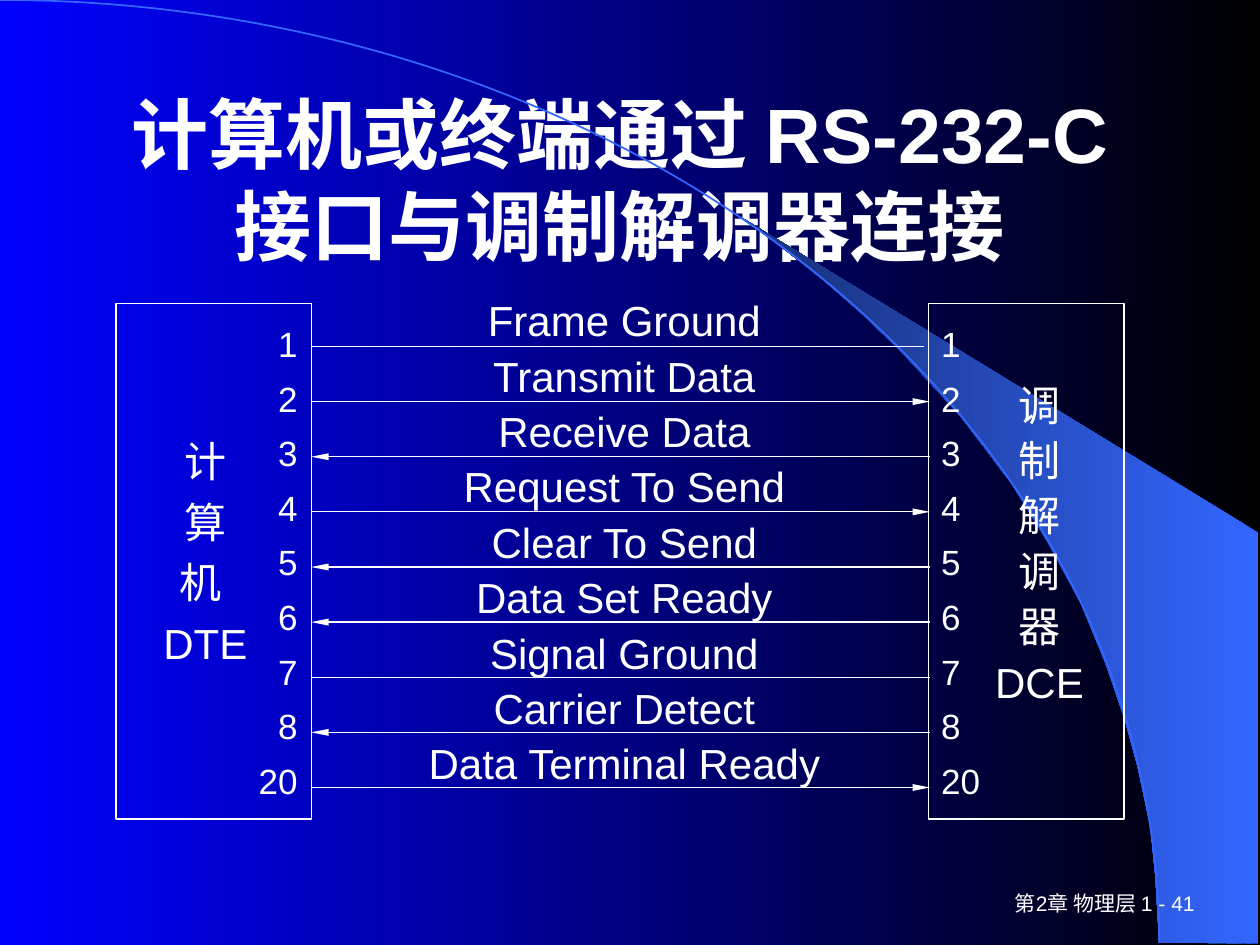
import lxml.etree
import pptx
import pptx.util
import pptx.dml.color
import pptx.enum.shapes
import pptx.enum.text
import pptx.oxml.ns

Inches = pptx.util.Inches
Pt = pptx.util.Pt
RGBColor = pptx.dml.color.RGBColor
SHAPE = pptx.enum.shapes.MSO_SHAPE
ALIGN = pptx.enum.text.PP_ALIGN
ANCHOR = pptx.enum.text.MSO_ANCHOR
qn = pptx.oxml.ns.qn

WHITE = RGBColor(0xFF, 0xFF, 0xFF)
BLACK = RGBColor(0x00, 0x00, 0x00)
BLUE = RGBColor(0x00, 0x00, 0xFF)
SKY = RGBColor(0x33, 0x66, 0xFF)
NAVY = RGBColor(0x17, 0x2F, 0x75)


def set_gradient(fill, first, last):
    """Fill from first at the right to last at the left."""
    fill.gradient()
    fill.gradient_angle = 180
    for stop, position, color in zip(fill.gradient_stops, (0, 1), (first, last)):
        stop.position = position
        stop.color.rgb = color


def add_text(left, top, width, height, lines, size, align, spacing=1.0):
    """Add a text box with one paragraph a line; a newline breaks the line."""
    box = page.shapes.add_textbox(
        Inches(left), Inches(top), Inches(width), Inches(height))
    frame = box.text_frame
    frame.word_wrap = True
    for index, line in enumerate(lines):
        para = frame.paragraphs[0] if index == 0 else frame.add_paragraph()
        para.alignment = align
        para.line_spacing = spacing
        for number, part in enumerate(line.split("\n")):
            if number:
                para.add_line_break()
            span = para.add_run()
            span.text = part
            span.font.size = Pt(size)
            span.font.name = "Arial"
            span.font.color.rgb = WHITE
    return box


deck = pptx.Presentation()
deck.slide_width = Inches(10)
deck.slide_height = Inches(7.5)
page = deck.slides.add_slide(deck.slide_layouts[5])
set_gradient(page.background.fill, BLACK, BLUE)

# Blue band at the right
band_points = [
    (9.2, 7.48), (9.99, 7.49), (9.99, 4.23), (5.89, 1.73), (6.24, 1.99),
    (6.53, 2.22), (6.85, 2.5), (7.16, 2.8), (7.62, 3.3), (8.03, 3.84),
    (8.32, 4.31), (8.58, 4.79), (8.78, 5.28), (8.93, 5.72), (9.03, 6.09),
    (9.13, 6.56), (9.17, 6.96)]
corners = [(Inches(x), Inches(y)) for x, y in band_points]
builder = page.shapes.build_freeform(*corners[0])
builder.add_line_segments(corners[1:], close=True)
band = builder.convert_to_shape()
band.shadow.inherit = False
set_gradient(band.fill, SKY, NAVY)
band.line.fill.background()

# Thin arc along the band
arc = page.shapes.add_shape(
    SHAPE.ARC, Inches(-9.2), Inches(0), Inches(18.4), Inches(14.97))
arc.shadow.inherit = False
arc.fill.background()
arc.line.color.rgb = SKY
arc.line.width = Pt(1)

# Footer
footer = add_text(7.5, 7, 2.08, 0.33, ["第2章 物理层 1 - 41"], 12, ALIGN.RIGHT)
footer.text_frame.vertical_anchor = ANCHOR.MIDDLE

# Title
title = page.shapes.title
title.left, title.top = Inches(0.75), Inches(0.67)
title.width, title.height = Inches(8.5), Inches(1.5)
title.text_frame.auto_size = pptx.enum.text.MSO_AUTO_SIZE.NONE
title.text_frame.vertical_anchor = ANCHOR.MIDDLE
title.text_frame.margin_right = Inches(0.26)
para = title.text_frame.paragraphs[0]
para.alignment = ALIGN.CENTER
for number, line in enumerate(["计算机或终端通过 RS-232-C", "接口与调制解调器连接"]):
    if number:
        para.add_line_break()
    span = para.add_run()
    span.text = line
    span.font.size = Pt(44)
    span.font.bold = True
    span.font.name = "Arial"
    span.font.color.rgb = WHITE

# Frames of the two devices
for left in (0.92, 7.37):
    device = page.shapes.add_shape(
        SHAPE.RECTANGLE, Inches(left), Inches(2.41), Inches(1.55), Inches(4.09))
    device.shadow.inherit = False
    device.fill.background()
    device.line.color.rgb = WHITE
    device.line.width = Pt(0.75)

# Pin, signal name, and the end of the line that carries the arrowhead
signals = [
    ("1", "Frame Ground", None),
    ("2", "Transmit Data", "a:tailEnd"),
    ("3", "Receive Data", "a:headEnd"),
    ("4", "Request To Send", "a:tailEnd"),
    ("5", "Clear To Send", "a:headEnd"),
    ("6", "Data Set Ready", "a:headEnd"),
    ("7", "Signal Ground", None),
    ("8", "Carrier Detect", "a:headEnd"),
    ("20", "Data Terminal Ready", "a:tailEnd")]
pins = [pin for pin, name, arrow in signals]
names = [name for pin, name, arrow in signals]

# Pin numbers, signal names and device names
add_text(1.83, 2.41, 0.63, 4.01, pins, 20, ALIGN.RIGHT, 1.3)
add_text(7.37, 2.41, 0.82, 4.01, pins, 20, ALIGN.JUSTIFY, 1.3)
add_text(3.08, 2.25, 3.75, 4, names, 24, ALIGN.CENTER, 1.1)
add_text(7.75, 2.92, 1, 2.92, [*"调制解调器", "DCE"], 24, ALIGN.CENTER, 1.1)
add_text(1.17, 3.33, 0.92, 2, ["计", "算", "机 \nDTE"], 24, ALIGN.CENTER, 1.2)

# Signal lines, evenly spaced
first_y, last_y = 2.75, 6.25
step = (last_y - first_y) / (len(signals) - 1)
for row, (pin, name, arrow) in enumerate(signals):
    y = Inches(first_y + row * step)
    right = Inches(7.33 if row == 0 else 7.38)
    wire = page.shapes.add_connector(
        pptx.enum.shapes.MSO_CONNECTOR.STRAIGHT, Inches(2.47), y, right, y)
    wire.line.color.rgb = WHITE
    wire.line.width = Pt(0.75)
    properties = wire.element.spPr
    if arrow:
        outline = properties.find(qn("a:ln"))
        lxml.etree.SubElement(
            outline, qn(arrow), {"type": "triangle", "w": "sm", "len": "lg"})
    lxml.etree.SubElement(properties, qn("a:effectLst"))

deck.save("out.pptx")
